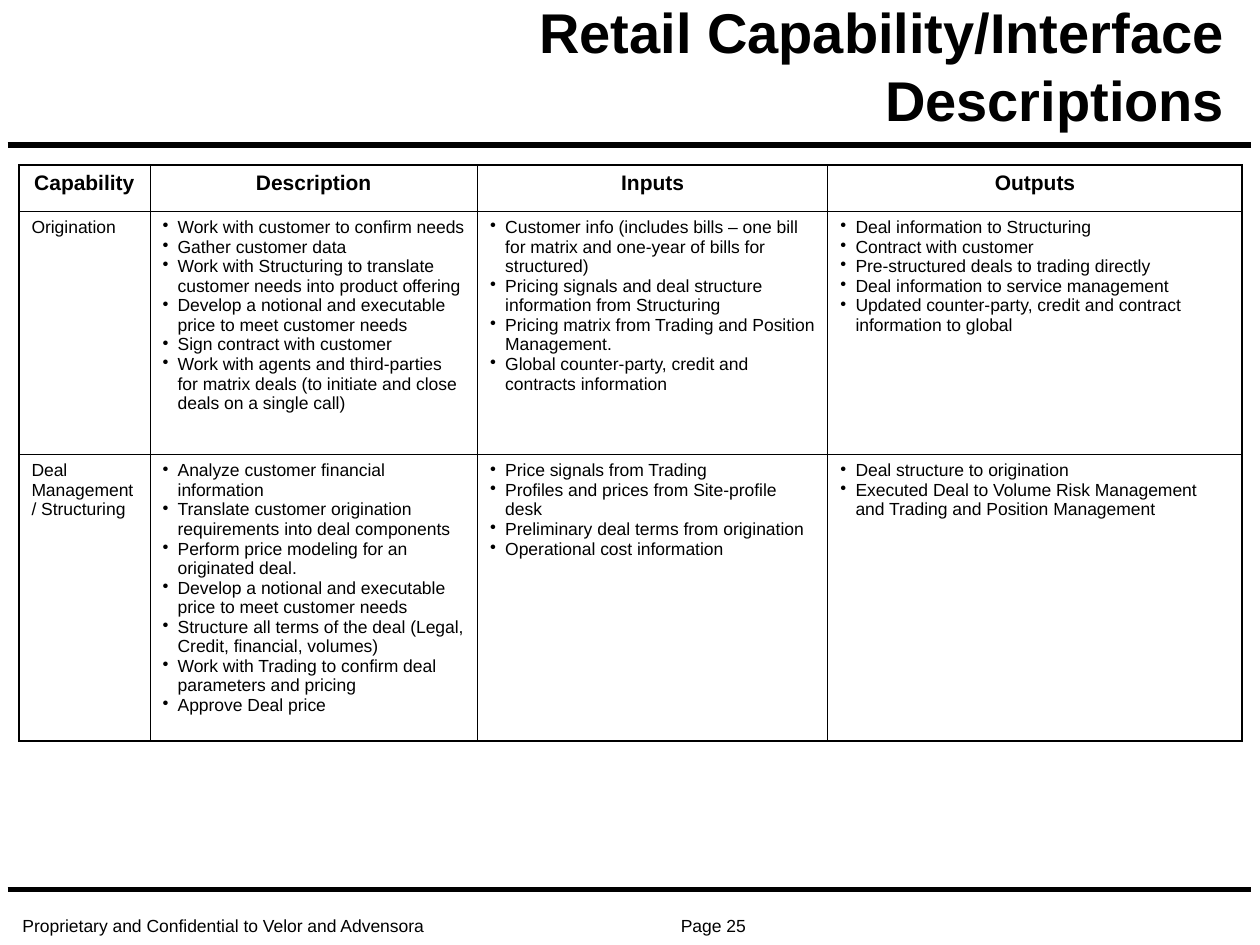
"""Build the retail capability and interface table slide."""
from lxml import etree
from pptx import Presentation, util as u
from pptx.dml.color import RGBColor
from pptx.enum import shapes, text
from pptx.oxml.ns import qn

TITLE = "Retail Capability/Interface Descriptions"
FOOTER = "Proprietary and Confidential to Velor and Advensora\tPage 25"
HEADINGS = ["Capability", "Description", "Inputs", "Outputs"]
CAPABILITIES = [
    ("Origination",
     ["Work with customer to confirm needs",
      "Gather customer data",
      "Work with Structuring to translate customer needs into product offering",
      "Develop a notional and executable price to meet customer needs",
      "Sign contract with customer",
      "Work with agents and third-parties for matrix deals "
      "(to initiate and close deals on a single call)"],
     ["Customer info (includes bills – one bill for matrix and one-year of bills for structured)",
      "Pricing signals and deal structure information from Structuring",
      "Pricing matrix from Trading and Position Management.",
      "Global counter-party, credit and contracts information"],
     ["Deal information to Structuring",
      "Contract with customer",
      "Pre-structured deals to trading directly",
      "Deal information to service management",
      "Updated counter-party, credit and contract information to global"]),
    ("Deal Management/ Structuring",
     ["Analyze customer financial information",
      "Translate customer origination requirements into deal components",
      "Perform price modeling for an originated deal.",
      "Develop a notional and executable price to meet customer needs",
      "Structure all terms of the deal (Legal, Credit, financial, volumes)",
      "Work with Trading to confirm deal parameters and pricing",
      "Approve Deal price"],
     ["Price signals from Trading",
      "Profiles and prices from Site-profile desk",
      "Preliminary deal terms from origination",
      "Operational cost information"],
     ["Deal structure to origination",
      "Executed Deal to Volume Risk Management and Trading and Position Management"]),
]
COLORS = {"ink": "000000", "paper": "FFFFFF"}
FONT = "Arial"
COLUMNS = [1.04, 2.6, 2.78, 3.29]
ROWS = [0.37, 1.93, 2.27]
RULES = [1.15, 7.06]
OUTER, INNER = 1.08, 0.45


def color(name):
    return RGBColor.from_string(COLORS[name])


def style(paragraph, size, bold=False, align=text.PP_ALIGN.LEFT):
    paragraph.alignment = align
    for run in paragraph.runs:
        run.font.name, run.font.size, run.font.bold = FONT, u.Pt(size), bold
        run.font.color.rgb = color("ink")


def bullet(paragraph):
    props = paragraph._p.get_or_add_pPr()
    props.set("marL", str(u.Inches(0.12)))
    props.set("indent", str(u.Inches(-0.12)))
    etree.SubElement(props, qn("a:buChar"), char="•")


def border(cell, widths):
    props = cell._tc.get_or_add_tcPr()
    for position, (side, width) in enumerate(widths.items()):
        line = etree.Element(qn(f"a:ln{side}"), w=str(u.Pt(width)))
        fill = etree.SubElement(line, qn("a:solidFill"))
        etree.SubElement(fill, qn("a:srgbClr"), val=COLORS["ink"])
        props.insert(position, line)


def add_rule(slide, y):
    rule = slide.shapes.add_connector(
        shapes.MSO_CONNECTOR.STRAIGHT, u.Inches(0.06), u.Inches(y), u.Inches(9.93), u.Inches(y))
    rule.line.color.rgb, rule.line.width = color("ink"), u.Pt(3)
    etree.SubElement(rule._element.spPr, qn("a:effectLst"))


def add_title(slide):
    title = slide.shapes.title
    title.left, title.top, title.width, title.height = map(u.Inches, (2.81, 0.39, 7.01, 0.71))
    frame = title.text_frame
    frame.text = TITLE
    frame.auto_size = text.MSO_AUTO_SIZE.NONE
    frame.vertical_anchor = text.MSO_ANCHOR.BOTTOM
    style(frame.paragraphs[0], 32, True, text.PP_ALIGN.RIGHT)


def add_footer(slide):
    footer = slide.shapes.add_textbox(*map(u.Inches, (0.08, 7.25, 6.08, 0.23)))
    frame = footer.text_frame
    frame.word_wrap = True
    frame.vertical_anchor = text.MSO_ANCHOR.BOTTOM
    paragraph = frame.paragraphs[0]
    paragraph.text = FOOTER
    paragraph.line_spacing = 0.8
    tabs = etree.SubElement(paragraph._p.get_or_add_pPr(), qn("a:tabLst"))
    etree.SubElement(tabs, qn("a:tab"), pos=str(u.Inches(5.74)), algn="r")
    style(paragraph, 10)


def add_capability_table(slide):
    rows = [HEADINGS, *CAPABILITIES]
    table = slide.shapes.add_table(
        len(ROWS), len(COLUMNS), u.Inches(0.15), u.Inches(1.31),
        u.Inches(sum(COLUMNS)), u.Inches(sum(ROWS))).table
    for column, width in zip(table.columns, COLUMNS):
        column.width = u.Inches(width)
    for row, height in zip(table.rows, ROWS):
        row.height = u.Inches(height)
    for r, contents in enumerate(rows):
        for c, content in enumerate(contents):
            cell = table.cell(r, c)
            cell.fill.solid()
            cell.fill.fore_color.rgb = color("paper")
            edges = {"L": c == 0, "R": c == len(COLUMNS) - 1, "T": r == 0, "B": r == len(ROWS) - 1}
            border(cell, {side: OUTER if outer else INNER for side, outer in edges.items()})
            bulleted = isinstance(content, list)
            cell.text_frame.text = "\n".join(content) if bulleted else content
            for paragraph in cell.text_frame.paragraphs:
                if bulleted:
                    bullet(paragraph)
                if r == 0:
                    style(paragraph, 12, True, text.PP_ALIGN.CENTER)
                else:
                    style(paragraph, 10)


def main():
    deck = Presentation()
    deck.slide_width, deck.slide_height = u.Inches(10), u.Inches(7.5)
    slide = deck.slides.add_slide(deck.slide_layouts.get_by_name("Title Only"))
    add_footer(slide)
    for y in RULES:
        add_rule(slide, y)
    add_title(slide)
    add_capability_table(slide)
    deck.save("out.pptx")


if __name__ == "__main__":
    main()
